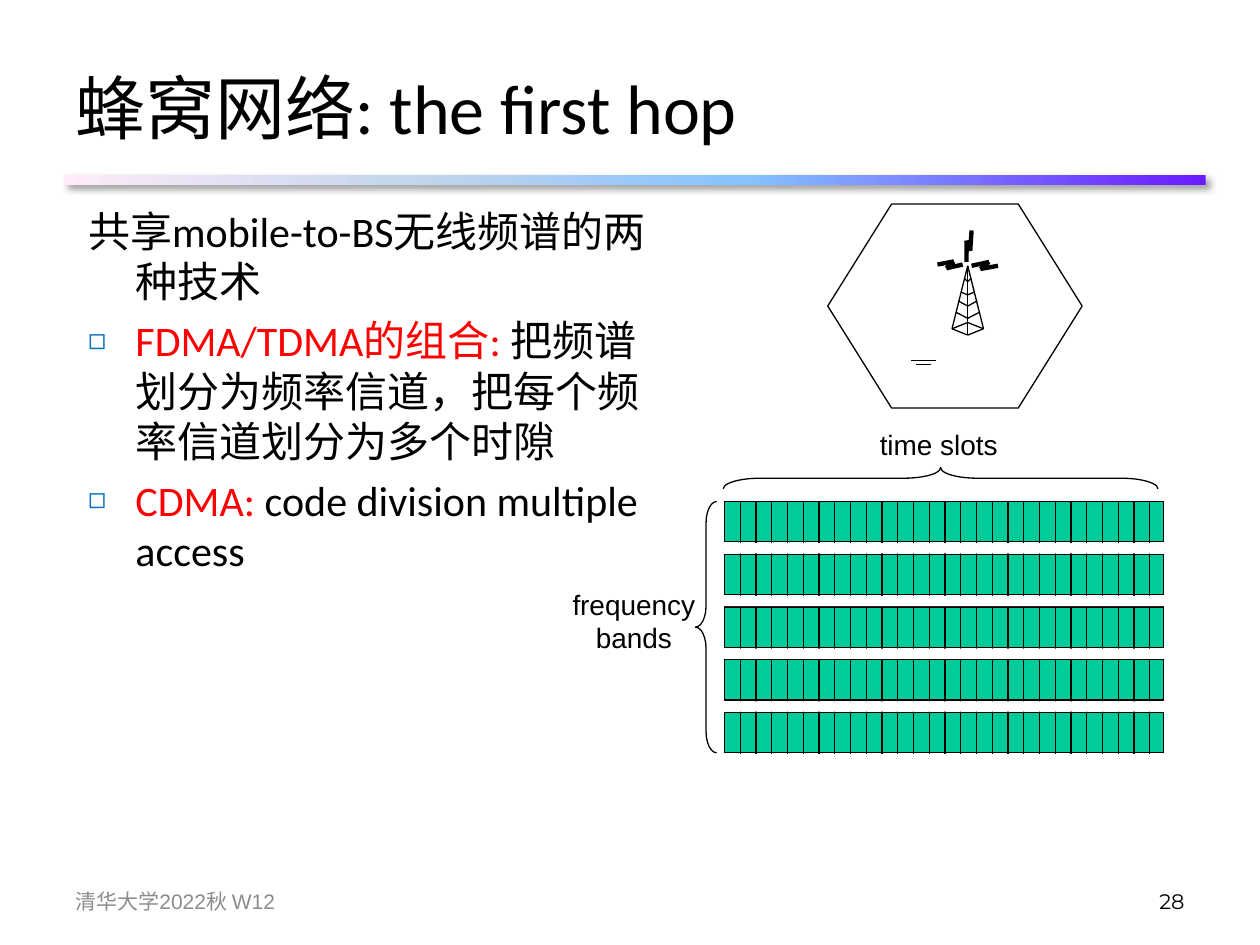
from itertools import pairwise

from lxml.etree import SubElement
from pptx import Presentation
from pptx.dml.color import RGBColor
from pptx.enum.shapes import MSO_CONNECTOR as Connector, MSO_SHAPE as Shape
from pptx.enum.text import MSO_ANCHOR as Anchor, MSO_AUTO_SIZE as AutoSize, PP_ALIGN as Align
from pptx.oxml import parse_xml
from pptx.oxml.ns import nsdecls, qn
from pptx.util import Pt

BLACK = RGBColor(0x00, 0x00, 0x00)
WHITE = RGBColor(0xFF, 0xFF, 0xFF)
RED = RGBColor(0xFF, 0x00, 0x00)
GRAY = RGBColor(0x8C, 0x8C, 0x8C)
GREEN = RGBColor(0x00, 0xCC, 0x99)
BULLET_BLUE = RGBColor(0x00, 0x70, 0xC0)
RULE_STOPS = [
    (0, RGBColor(0x6B, 0x19, 0xFF)),
    (40, RGBColor(0x85, 0xC2, 0xFF)),
    (70, RGBColor(0xC4, 0xD6, 0xEB)),
    (100, RGBColor(0xFF, 0xEB, 0xFA)),
]


def place(shape, box):
    shape.left, shape.top, shape.width, shape.height = (Pt(value) for value in box)


def add_run(paragraph, text, size, font_name, color):
    run = paragraph.add_run()
    run.text = text
    run.font.size = Pt(size)
    run.font.name = font_name
    run.font.color.rgb = color


def add_shape(slide, preset, box, fill=None, line=None):
    shape = slide.shapes.add_shape(preset, *(Pt(value) for value in box))
    shape.shadow.inherit = False
    if fill is None:
        shape.fill.background()
    else:
        shape.fill.solid()
        shape.fill.fore_color.rgb = fill
    if line is None:
        shape.line.fill.background()
    else:
        shape.line.color.rgb = line
        shape.line.width = Pt(0.75)
    return shape


def add_line(slide, start, end, width=0.75):
    points = (Pt(value) for value in (*start, *end))
    line = slide.shapes.add_connector(Connector.STRAIGHT, *points)
    line.line.color.rgb = BLACK
    line.line.width = Pt(width)
    SubElement(line._element.spPr, qn("a:effectLst"))


def add_label(slide, box, lines, size, font_name, color, align, anchor, wrap):
    label = slide.shapes.add_textbox(*(Pt(value) for value in box))
    frame = label.text_frame
    frame.word_wrap = wrap
    frame.vertical_anchor = anchor
    for index, text in enumerate(lines):
        paragraph = frame.add_paragraph() if index else frame.paragraphs[0]
        paragraph.alignment = align
        add_run(paragraph, text, size, font_name, color)


def add_title(slide, box):
    title = slide.shapes.title
    place(title, box)
    frame = title.text_frame
    frame.vertical_anchor = Anchor.MIDDLE
    frame.auto_size = AutoSize.NONE
    paragraph = frame.paragraphs[0]
    paragraph.alignment = Align.LEFT
    add_run(paragraph, "蜂窝网络: the first hop", 40, "Calibri", BLACK)


def add_title_rule(slide, box):
    rule = add_shape(slide, Shape.RECTANGLE, box, fill=WHITE)
    properties = rule._element.spPr
    stops = "".join(
        f'<a:gs pos="{position * 1000}"><a:srgbClr val="{color}"/></a:gs>'
        for position, color in RULE_STOPS
    )
    gradient = parse_xml(
        f'<a:gradFill {nsdecls("a")}><a:gsLst>{stops}</a:gsLst>'
        '<a:lin ang="10800000" scaled="0"/></a:gradFill>'
    )
    properties.replace(properties.find(qn("a:solidFill")), gradient)
    shadow = parse_xml(
        f'<a:outerShdw {nsdecls("a")} blurRad="{Pt(4)}" dist="{Pt(3)}" dir="2700000">'
        '<a:srgbClr val="000000"><a:alpha val="40000"/></a:srgbClr></a:outerShdw>'
    )
    properties.find(qn("a:effectLst")).append(shadow)


def set_bullet(paragraph, bulleted):
    properties = paragraph._p.get_or_add_pPr()
    properties.set("marL", str(Pt(27)))
    properties.set("indent", str(Pt(-27)))
    if not bulleted:
        SubElement(properties, qn("a:buNone"))
        return
    color = SubElement(properties, qn("a:buClr"))
    SubElement(color, qn("a:srgbClr"), val=str(BULLET_BLUE))
    SubElement(properties, qn("a:buSzPct"), val="70000")
    SubElement(properties, qn("a:buChar"), char="◻")


def add_body(slide, box):
    body = slide.placeholders[1]
    place(body, box)
    frame = body.text_frame
    frame.auto_size = AutoSize.NONE
    items = [
        [("共享mobile-to-BS无线频谱的两种技术", BLACK)],
        [("FDMA/TDMA的组合: ", RED), ("把频谱划分为频率信道，把每个频率信道划分为多个时隙", BLACK)],
        [("CDMA:", RED), (" code division multiple access", BLACK)],
    ]
    for index, runs in enumerate(items):
        paragraph = frame.add_paragraph() if index else frame.paragraphs[0]
        set_bullet(paragraph, bulleted=index > 0)
        paragraph.space_before = Pt(4.8 if index else 0)
        for text, color in runs:
            add_run(paragraph, text, 24, "Calibri", color)


def add_cell(slide, box):
    left, top, width, height = box
    hexagon = add_shape(slide, Shape.HEXAGON, box, line=BLACK)
    hexagon.adjustments[0] = 0.313
    apex_x, apex_y = left + 80, top + 35.3

    def draw(points, width=0.75):
        for start, end in pairwise((apex_x + x, apex_y + y) for x, y in points):
            add_line(slide, start, end, width)

    # Lattice tower, the same on both sides of the mast
    draw([(0, 0), (0, 39.6)])
    braces = [(2, 7.2, 9), (4, 15, 16.6), (5.5, 20, 23), (6.8, 26.5, 30)]
    for side in (-1, 1):
        draw([(0, 0), (side * 9, 36), (0, 39.6)])
        draw([(side * 9, 36), (0, 32.4)])
        for x, y, mast_y in braces:
            draw([(side * x, y), (0, mast_y)])

    # Radio flashes
    draw([(2.2, 0), (12.2, -2.2), (7.2, 1.8), (17.3, 0)], 2.5)
    draw([(2.2, -20.2), (1.4, -8.6), (-0.6, -14.4), (-0.7, -2.2)], 2.5)
    draw([(-2.9, -0.7), (-12.2, 1.4), (-7.9, -2.5), (-17.3, -0.7)], 2.5)

    # Ground marks
    draw([(-32.4, 54), (-18, 54)])
    draw([(-29.5, 56.2), (-20.9, 56.2)])


def add_slot_grid(slide, box):
    left, top, width, height = box
    band_count, band_height, slot_width = 5, 23, 9
    pitch = (height - band_height) / (band_count - 1)

    # Frequency bands, cut into slots by lines across all of them
    for band in range(band_count):
        band_box = (left, top + band * pitch, width, band_height)
        add_shape(slide, Shape.RECTANGLE, band_box, GREEN, BLACK)
    for slot in range(1, int(width / slot_width) + 1):
        x = left + slot * slot_width
        add_line(slide, (x, top - 0.5), (x, top + height + 0.5))

    # White strips clear the lines between the bands
    for band in range(band_count - 1):
        strip_top = top + band * pitch + band_height + 0.8
        add_shape(slide, Shape.RECTANGLE, (left - 0.5, strip_top, width, 5.8), WHITE)

    # Braces and their labels
    band_brace = add_shape(slide, Shape.LEFT_BRACE, (left - 16.6, top, 12.2, height), line=BLACK)
    band_brace.adjustments[0] = 0.993
    slot_box = (left + 117.4, top - 137.5, 12.2, 248.4)
    slot_brace = add_shape(slide, Shape.LEFT_BRACE, slot_box, line=BLACK)
    slot_brace.adjustments[0] = 1.726
    slot_brace.rotation = 90
    style = (16, "Arial", BLACK, Align.CENTER, Anchor.TOP, False)
    add_label(slide, (left - 94.3, top + 45.4, 85, 46), ["frequency", "bands"], *style)
    add_label(slide, (left + 81.4, top - 46, 82, 26.6), ["time slots"], *style)


def add_footer(slide, box):
    left, top, width, height = box
    part = 168
    add_label(slide, (left, top, part, height), ["清华大学2022秋 W12"],
              12, "Arial", GRAY, Align.LEFT, Anchor.MIDDLE, True)
    add_label(slide, (left + width - part, top, part, height), ["28"],
              12, "Montserrat", BLACK, Align.RIGHT, Anchor.MIDDLE, True)


def main():
    presentation = Presentation()
    presentation.slide_width, presentation.slide_height = Pt(720), Pt(540)
    slide = presentation.slides.add_slide(presentation.slide_layouts[1])
    add_title_rule(slide, (36.7, 100, 652.3, 5.8))
    add_title(slide, (36, 21.6, 648, 78.5))
    add_body(slide, (43.2, 113.8, 349.2, 365.8))
    add_cell(slide, (473, 116.6, 145.4, 116.6))
    add_slot_grid(slide, (414, 286.6, 251, 143.6))
    add_footer(slide, (36, 500.4, 648, 28.8))
    presentation.save("out.pptx")


if __name__ == "__main__":
    main()
